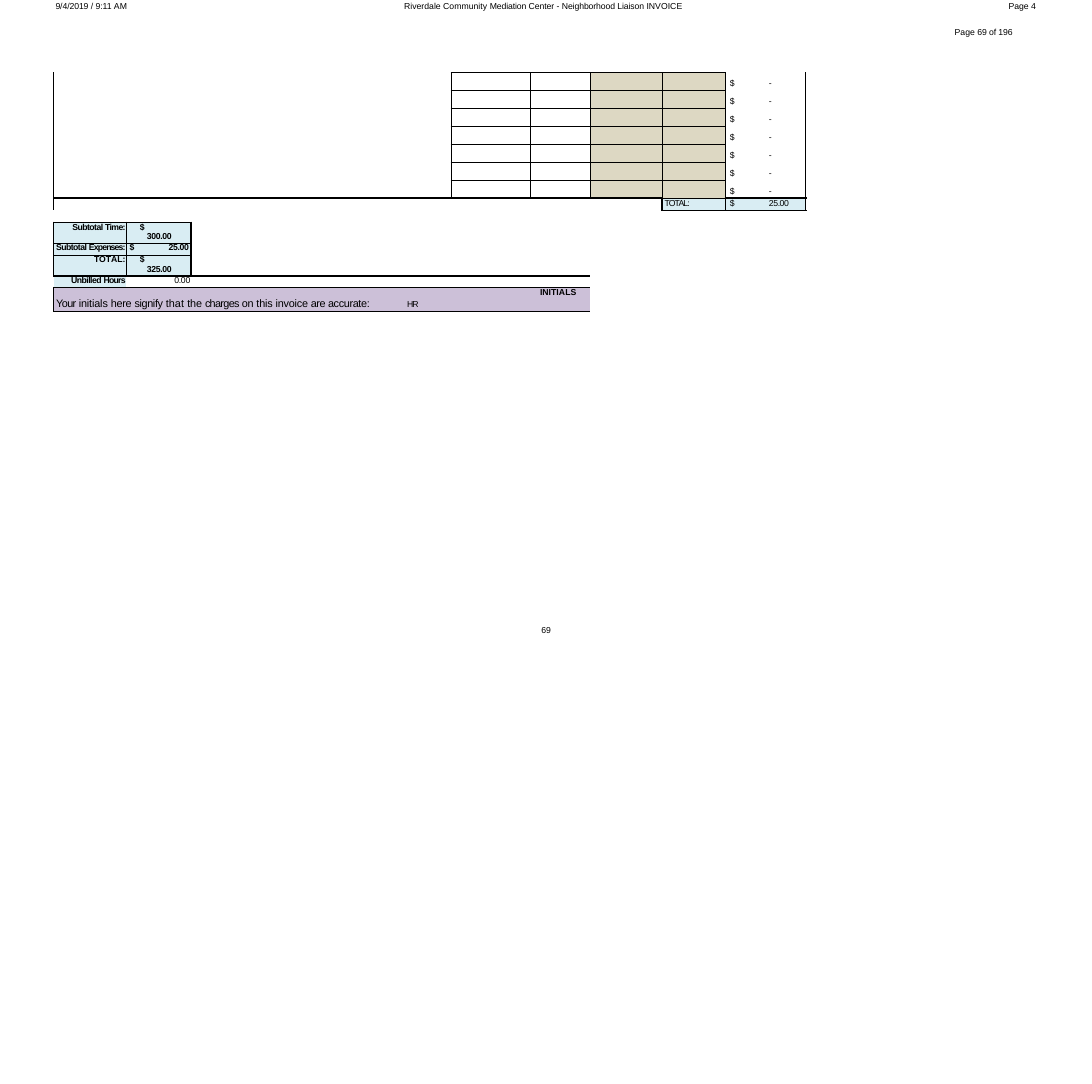
from dataclasses import dataclass
from typing import Optional

from lxml.etree import SubElement
from pptx import Presentation
from pptx.dml.color import RGBColor
from pptx.enum.text import MSO_AUTO_SIZE, PP_ALIGN
from pptx.oxml.ns import qn
from pptx.util import Cm, Pt


@dataclass(frozen=True)
class Theme:
    font: str = "Arial"
    small: float = 8
    large: float = 10
    ink: str = "000000"
    tan: str = "DDD8C3"
    blue: str = "D9EDF3"
    mauve: str = "CCC0D8"
    thin: float = 0.75
    thick: float = 1.5
    plain: str = "{2D5ABB26-0587-4C30-8999-92F81FD0307C}"


T = Theme()
THIN, THICK = T.thin, T.thick


@dataclass(frozen=True)
class Run:
    text: str
    gap: float = 0
    bold: bool = False
    size: float = T.small


@dataclass(frozen=True)
class Para:
    runs: tuple[Run, ...]
    left: float = 0
    right: float = 0
    tab: float = 0
    align: PP_ALIGN = PP_ALIGN.LEFT
    lead: float = 0


@dataclass(frozen=True)
class Edge:
    L: float = 0
    R: float = 0
    T: float = 0
    B: float = 0


@dataclass(frozen=True)
class Cell:
    paras: tuple[Para, ...] = ()
    fill: Optional[str] = None
    edge: Edge = Edge()
    span: tuple[int, int] = (1, 1)
    top: float = 0


@dataclass(frozen=True)
class Label:
    left: float
    top: float
    width: float
    para: Para


def write(frame, paras: tuple[Para, ...]) -> None:
    for i, item in enumerate(paras):
        para = frame.add_paragraph() if i else frame.paragraphs[0]
        para.alignment = item.align
        if item.lead:
            para.line_spacing = Pt(item.lead)
        props = para._p.get_or_add_pPr()
        props.set("marL", str(Cm(item.left)))
        props.set("marR", str(Cm(item.right)))
        props.set("indent", "0")
        if item.tab:
            stops = SubElement(props, qn("a:tabLst"))
            SubElement(stops, qn("a:tab"), pos=str(Cm(item.tab)), algn="l")
        for part in item.runs:
            run = para.add_run()
            run.text = part.text
            run.font.name = T.font
            run.font.size = Pt(part.size)
            run.font.bold = part.bold
            run.font.color.rgb = RGBColor.from_string(T.ink)
            run._r.get_or_add_rPr().set("spc", str(round(part.gap * 100)))


def label(slide, item: Label) -> None:
    box = slide.shapes.add_textbox(Cm(item.left), Cm(item.top), Cm(item.width), Cm(0.41))
    frame = box.text_frame
    frame.word_wrap = True
    frame.auto_size = MSO_AUTO_SIZE.SHAPE_TO_FIT_TEXT
    frame.margin_left = frame.margin_right = frame.margin_bottom = 0
    frame.margin_top = Cm(0.03)
    write(frame, (item.para,))


def rule(cell, edge: Edge) -> None:
    props = cell._tc.get_or_add_tcPr()
    for side in "LRTB":
        width = getattr(edge, side)
        if width:
            line = SubElement(props, qn(f"a:ln{side}"), w=str(Pt(width)))
            fill = SubElement(line, qn("a:solidFill"))
            SubElement(fill, qn("a:srgbClr"), val=T.ink)


def paint(table, row: int, col: int, item: Cell) -> None:
    high, wide = item.span
    if item.span != (1, 1):
        table.cell(row, col).merge(table.cell(row + high - 1, col + wide - 1))
    for i in range(high):
        for j in range(wide):
            cell = table.cell(row + i, col + j)
            cell.margin_left = cell.margin_right = cell.margin_bottom = 0
            cell.margin_top = Cm(item.top)
            rule(cell, Edge(
                L=item.edge.L if j == 0 else 0,
                R=item.edge.R if j == wide - 1 else 0,
                T=item.edge.T if i == 0 else 0,
                B=item.edge.B if i == high - 1 else 0))
            if item.fill:
                cell.fill.solid()
                cell.fill.fore_color.rgb = RGBColor.from_string(item.fill)
            else:
                cell.fill.background()
            if i or j or not item.paras:
                para = cell.text_frame.paragraphs[0]._p
                SubElement(para, qn("a:endParaRPr"), sz=str(T.small * 100))
    write(table.cell(row, col).text_frame, item.paras)


def grid(slide, left: float, top: float, cols: list[float], rows: list[float],
         cells: dict[tuple[int, int], Cell]) -> None:
    table = slide.shapes.add_table(len(rows), len(cols), Cm(left), Cm(top),
                                   Cm(sum(cols)), Cm(sum(rows))).table
    table.first_row = table.horz_banding = False
    table._tbl.tblPr.find(qn("a:tableStyleId")).text = T.plain
    for col, width in zip(table.columns, cols):
        col.width = Cm(width)
    for row, height in zip(table.rows, rows):
        row.height = Cm(height)
    for (row, col), item in cells.items():
        paint(table, row, col, item)


def costs() -> dict[tuple[int, int], Cell]:
    base = Edge(THICK, THIN, THIN, THIN)
    bold = Edge(THIN, THICK, THIN, THIN)
    dash = Para((Run("$\t", -0.4), Run("-", -0.2)), left=0.15, tab=2.13)
    cells = {(0, 0): Cell(edge=Edge(L=THICK, R=THICK, B=THICK), span=(7, 1))}
    for row in range(7):
        cells[row, 1] = Cell(edge=base)
        cells[row, 2] = Cell(edge=bold)
        cells[row, 3] = Cell(fill=T.tan, edge=base)
        cells[row, 4] = Cell(fill=T.tan, edge=bold)
        last = THICK if row == 6 else 0
        cells[row, 5] = Cell((dash,), edge=Edge(L=THICK, R=THICK, B=last), top=0.2)
    cells[7, 0] = Cell(edge=Edge(L=THICK, R=THICK, T=THICK), span=(1, 4))
    cells[7, 4] = Cell((Para((Run("TOTAL:", -0.8),), left=0.08),), T.blue,
                       Edge(L=THICK, T=THIN, B=THICK))
    cells[7, 5] = Cell((Para((Run("$\t25.00", -0.4),), left=0.15, tab=1.85),), T.blue,
                       Edge(R=THICK, T=THICK, B=THICK))
    return cells


def bolds(*parts: tuple[str, float]) -> tuple[Run, ...]:
    return tuple(Run(text, gap, True) for text, gap in parts)


def sums() -> dict[tuple[int, int], Cell]:
    lines = [
        (bolds(("Subtotal ", -0.5), ("Time:", -0.6)), "300.00", 1.09),
        (bolds(("Subtotal ", -0.5), ("Expenses:", -0.8)), "25.00", 1.24),
        (bolds(("TOT", -0.1), ("A", 0), ("L", -0.1), (":", 0)), "325.00", 1.09),
    ]
    cells = {(0, 2): Cell(edge=Edge(L=THICK), span=(3, 1))}
    for row, (name, value, tab) in enumerate(lines):
        top = THIN if row else THICK
        low = THICK if row == 2 else THIN
        cells[row, 0] = Cell((Para(name, right=0.02, align=PP_ALIGN.RIGHT),), T.blue,
                             Edge(THICK, THIN, top, low))
        money = bolds(("$\t", -0.4), (value, -0.3))
        cells[row, 1] = Cell((Para(money, left=0.05, tab=tab, align=PP_ALIGN.CENTER),),
                             T.blue, Edge(THIN, THICK, top, low))
    ends = Edge(T=THICK, B=THICK)
    hours = bolds(("Unbilled ", -0.5), ("Hours", -0.7))
    cells[3, 0] = Cell((Para(hours, right=0.02, align=PP_ALIGN.RIGHT),), T.blue, ends)
    cells[3, 1] = Cell((Para((Run("0.00", -0.3),), left=1.57),), edge=ends, span=(1, 2))
    head = bolds(("I", 0), ("N", -0.1), ("ITI", 0), ("A", 0.1), ("L", -0.1), ("S", 0))
    words = [("Your ", -0.5), ("initials ", -0.1), ("here ", -0.2), ("signify ", -0.3),
             ("that ", 0.1), ("the ", -0.1), ("charges ", -0.6), ("on ", -0.2),
             ("this ", -0.1), ("invoice ", -0.2), ("are accurate:\t", -0.3)]
    sign = tuple(Run(text, gap, size=T.large) for text, gap in words) + (Run("HR", -1.1),)
    cells[4, 0] = Cell((Para(head, right=0.43, align=PP_ALIGN.RIGHT, lead=8.9),
                        Para(sign, left=0.08, tab=15.67, lead=11.3)),
                       T.mauve, Edge(THICK, THICK, THICK, THICK), (1, 3))
    return cells


def main() -> None:
    deck = Presentation()
    deck.slide_width, deck.slide_height = Cm(35.56), Cm(35.31)
    slide = deck.slides.add_slide(deck.slide_layouts[6])
    date = (Run("9/4/2019 ", -0.1), Run("/ "), Run("9:11 ", -0.1), Run("AM"))
    title = (Run("Riverdale Community "), Run("Mediation Center ", -0.1), Run("- "),
             Run("Neighborhood Liaison ", -0.1), Run("INVOICE"))
    for item in (
        Label(17.55, 20.32, 0.46, Para((Run("69"),), left=0.08)),
        Label(1.78, 0, 2.46, Para(date, left=0.03)),
        Label(13.13, 0, 9.27, Para(title, left=0.03)),
        Label(32.82, 0, 0.97, Para((Run("Page ", -0.1), Run("4")), left=0.03)),
        Label(31.06, 0.86, 1.98, Para((Run("Page "), Run("69 of 196", -0.1)), left=0.03)),
    ):
        label(slide, item)
    grid(slide, 1.75, 2.36, [12.95, 2.56, 1.96, 2.34, 2.06, 2.62],
         [4.1 / 7] * 7 + [0.4], costs())
    grid(slide, 1.75, 7.24, [2.36, 2.11, 12.98], [0.39, 0.39, 0.36, 0.38, 0.78], sums())
    deck.save("out.pptx")


if __name__ == "__main__":
    main()
